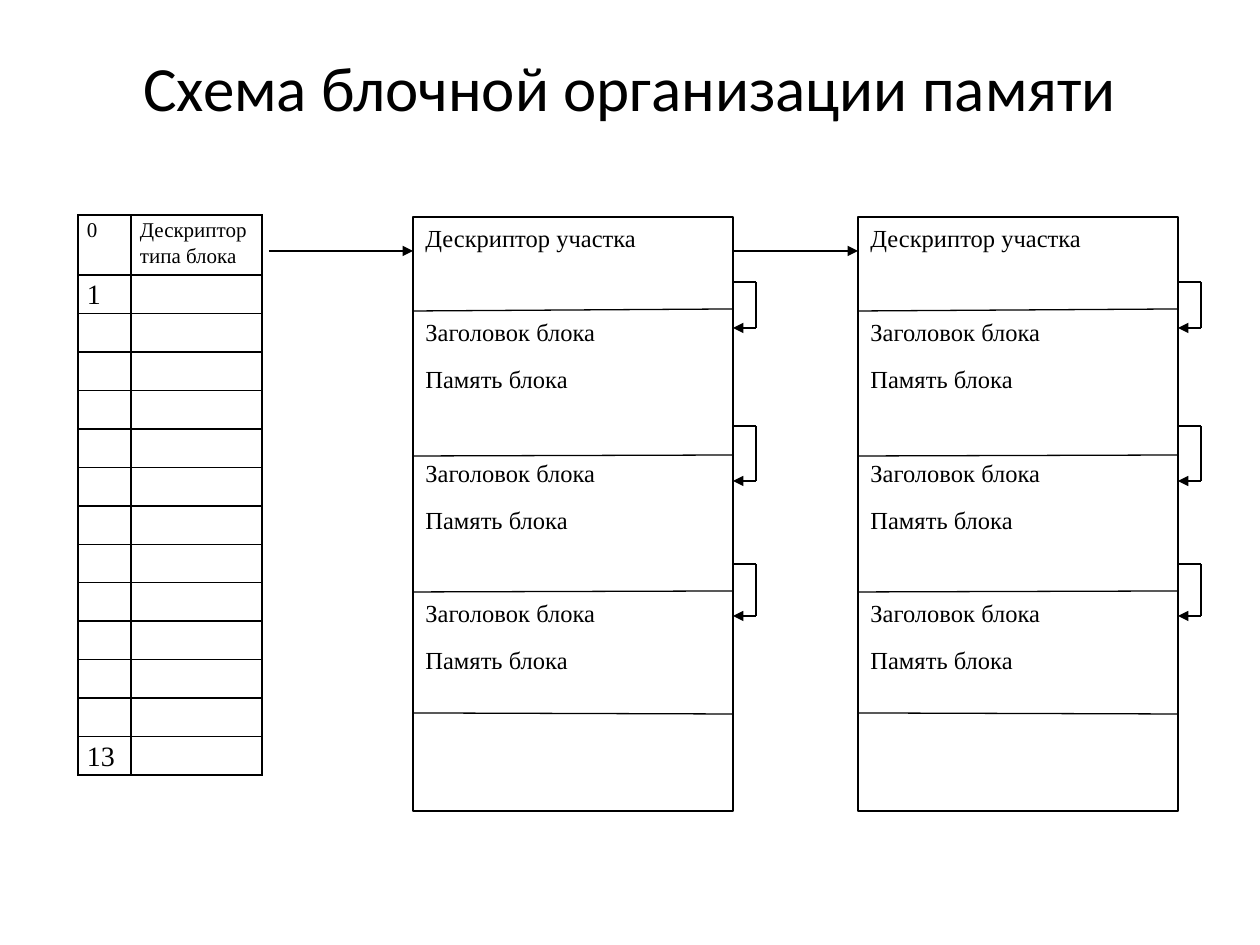
import lxml.etree
import pptx
import pptx.dml.color
import pptx.enum.shapes
import pptx.enum.text
import pptx.oxml.ns
import pptx.util

SCALE = 914400 // 126
BLACK, WHITE = "000000", "FFFFFF"
SERIF = "Times New Roman"
AREA_TOP, AREA_WIDTH, AREA_HEIGHT = 217, 320, 594
AREA_LEFTS = (413, 858)
DIVIDERS = ((311, 309), (456, 455), (592, 591), (713, 714))
LOOPS = ((282, 328), (426, 481), (564, 616))
LOOP_WIDTH = 23
LINK_Y = 251
ROW_COUNT = 14
LABELS = {
    (0, 0): ("0", 12),
    (0, 1): ("Дескриптор типа блока", 12),
    (1, 0): ("1", 16),
    (13, 0): ("13", 16),
}


def px(length):
    """Turn pixels into EMU."""
    return pptx.util.Emu(length * SCALE)


def color(value):
    """Turn a hex string into a colour."""
    return pptx.dml.color.RGBColor.from_string(value)


def write(para, text, font=SERIF, size=14, align="LEFT", spacing=None, after=0):
    """Write one formatted run into a paragraph."""
    para.alignment = getattr(pptx.enum.text.PP_ALIGN, align)
    para.space_after = pptx.util.Pt(after)
    if spacing:
        para.line_spacing = spacing
    span = para.add_run()
    span.text = text
    span.font.name = font
    span.font.size = pptx.util.Pt(size)
    span.font.color.rgb = color(BLACK)


def add_title(page, text):
    """Add the centred heading."""
    box = page.shapes.add_textbox(px(63), px(41), px(1134), px(91))
    frame = box.text_frame
    frame.word_wrap = True
    frame.vertical_anchor = pptx.enum.text.MSO_ANCHOR.MIDDLE
    write(frame.paragraphs[0], text, font="Calibri", size=36, align="CENTER")


def add_line(page, start, end, arrow=False):
    """Draw a straight line, with an arrowhead at its end if asked."""
    line = page.shapes.add_connector(
        pptx.enum.shapes.MSO_CONNECTOR.STRAIGHT, *map(px, start + end))
    line.line.color.rgb = color(BLACK)
    line.line.width = pptx.util.Pt(0.75)
    if arrow:
        lxml.etree.SubElement(line.line._get_or_add_ln(),
                              pptx.oxml.ns.qn("a:tailEnd"), type="triangle")
    lxml.etree.SubElement(line._element.spPr, pptx.oxml.ns.qn("a:effectLst"))


def add_loop(page, left, top, bottom):
    """Draw the bracket that leads from one block to the next."""
    right = left + LOOP_WIDTH
    add_line(page, (left, top), (right, top))
    add_line(page, (right, top), (right, bottom))
    add_line(page, (right, bottom), (left, bottom), arrow=True)


def add_area(page, left):
    """Draw a memory area with its descriptor, blocks and loops."""
    right = left + AREA_WIDTH
    area = page.shapes.add_shape(
        pptx.enum.shapes.MSO_SHAPE.RECTANGLE,
        px(left), px(AREA_TOP), px(AREA_WIDTH), px(AREA_HEIGHT))
    area.shadow.inherit = False
    area.fill.solid()
    area.fill.fore_color.rgb = color(WHITE)
    area.line.color.rgb = color(BLACK)
    area.line.width = pptx.util.Pt(0.75)
    frame = area.text_frame
    frame.word_wrap = True
    frame.vertical_anchor = pptx.enum.text.MSO_ANCHOR.TOP
    texts = ["Дескриптор участка"] + ["Заголовок блока", "Память блока"] * 3
    for index, text in enumerate(texts):
        para = frame.add_paragraph() if index else frame.paragraphs[0]
        write(para, text, spacing=pptx.util.Pt(16.8),
              after=10 if index % 2 else 36.8)
    for start, end in DIVIDERS:
        add_line(page, (left, start), (right, end))
    for top, bottom in LOOPS:
        add_loop(page, right, top, bottom)


def style_cell(cell):
    """Give a cell thin black borders, a white fill and narrow margins."""
    properties = cell._tc.get_or_add_tcPr()
    for side in ("lnL", "lnR", "lnT", "lnB"):
        border = lxml.etree.SubElement(
            properties, pptx.oxml.ns.qn(f"a:{side}"), w="12700")
        fill = lxml.etree.SubElement(border, pptx.oxml.ns.qn("a:solidFill"))
        lxml.etree.SubElement(fill, pptx.oxml.ns.qn("a:srgbClr"), val=BLACK)
    cell.fill.solid()
    cell.fill.fore_color.rgb = color(WHITE)
    cell.margin_left = cell.margin_right = px(9)
    cell.margin_top = cell.margin_bottom = 0


def add_descriptor_table(page):
    """Add the table of block type descriptors."""
    head, rest = 60, 500
    table = page.shapes.add_table(
        ROW_COUNT, 2, px(78), px(215), px(184), px(head + rest)).table
    for column, width in zip(table.columns, (53, 131)):
        column.width = px(width)
    for index, row in enumerate(table.rows):
        row.height = px(rest) // (ROW_COUNT - 1) if index else px(head)
        for column, cell in enumerate(row.cells):
            style_cell(cell)
            if (index, column) in LABELS:
                text, size = LABELS[index, column]
                write(cell.text_frame.paragraphs[0], text, size=size, spacing=1.15)


def main():
    """Build and save the slide."""
    deck = pptx.Presentation()
    deck.slide_width, deck.slide_height = px(1260), px(945)
    page = deck.slides.add_slide(deck.slide_layouts[6])
    add_title(page, "Схема блочной организации памяти")
    for left in AREA_LEFTS:
        add_area(page, left)
    for start, end in zip((269, AREA_LEFTS[0] + AREA_WIDTH), AREA_LEFTS):
        add_line(page, (start, LINK_Y), (end, LINK_Y), arrow=True)
    add_descriptor_table(page)
    deck.save("out.pptx")


if __name__ == "__main__":
    main()
